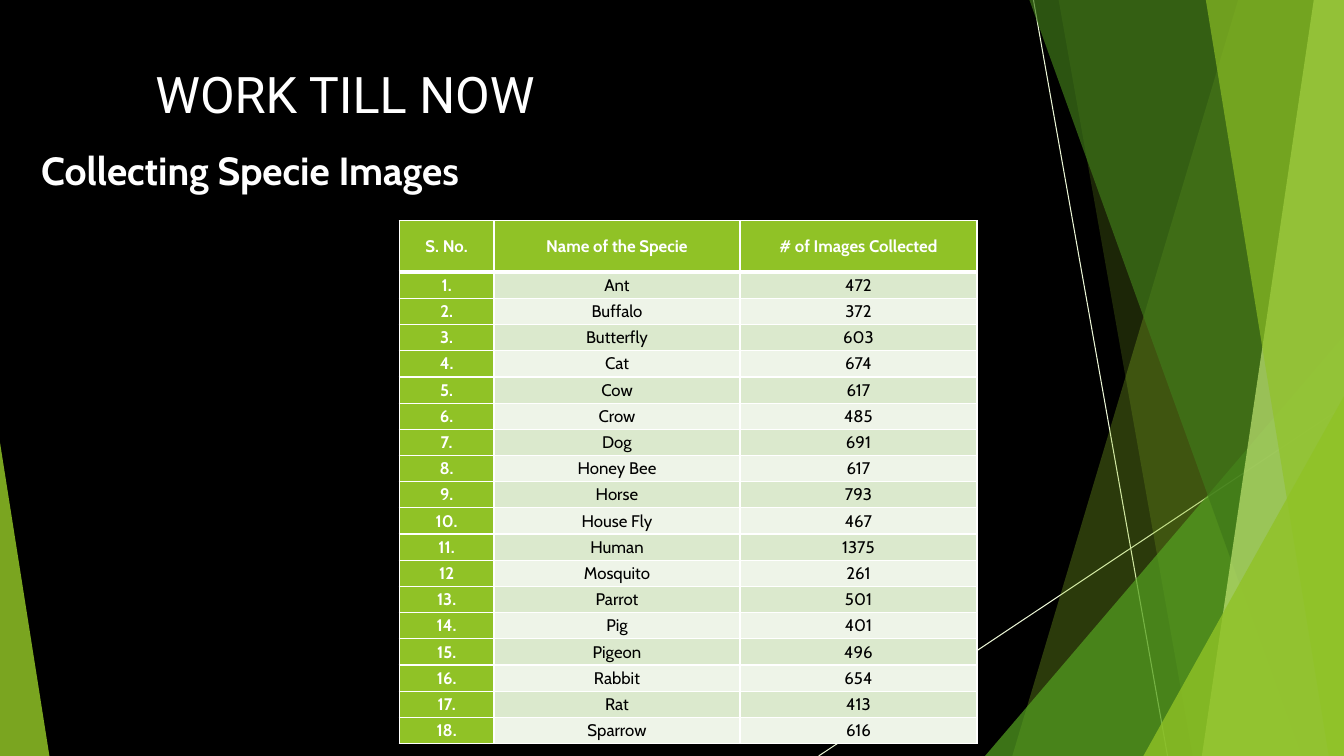
"""Build the species image collection slide with its faceted green backdrop."""
from lxml import etree
from pptx import Presentation
from pptx.dml.color import RGBColor
from pptx.enum.shapes import MSO_CONNECTOR, MSO_SHAPE
from pptx.enum.text import MSO_ANCHOR, MSO_AUTO_SIZE, PP_ALIGN
from pptx.oxml.ns import qn
from pptx.util import Inches, Pt

STRAIGHT = MSO_CONNECTOR.STRAIGHT
TRIANGLE = MSO_SHAPE.ISOSCELES_TRIANGLE
TOP, MIDDLE = MSO_ANCHOR.TOP, MSO_ANCHOR.MIDDLE
LEFT, CENTER = PP_ALIGN.LEFT, PP_ALIGN.CENTER
GROW = MSO_AUTO_SIZE.SHAPE_TO_FIT_TEXT
WIDTH, HEIGHT = 13.33, 7.5
TITLE_ONLY = 5
WHITE, BLACK, GREEN = "FFFFFF", "000000", "90C226"
BANDS = ("DBE9CD", "EEF4E8")


def color(code):
    return RGBColor.from_string(code)


def assign(target, values):
    for name, value in values.items():
        setattr(target, name, value)


class SlideBuilder:
    def __init__(self, slide, font):
        self.slide = slide
        self.shapes = slide.shapes
        self.font = font

    def background(self, code):
        fill = self.slide.background.fill
        fill.solid()
        fill.fore_color.rgb = color(code)

    def add_words(self, frame, text, size, code=WHITE, bold=False, align=LEFT, font=None):
        paragraph = frame.paragraphs[0]
        paragraph.alignment = align
        run = paragraph.add_run()
        run.text = text
        assign(run.font, {"name": font or self.font, "size": Pt(size), "bold": bold})
        run.font.color.rgb = color(code)

    def title(self, text, box, size, font):
        heading = self.shapes.title
        assign(heading, dict(zip(("left", "top", "width", "height"), map(Inches, box))))
        assign(heading.text_frame, {"vertical_anchor": TOP, "auto_size": GROW, "word_wrap": True})
        self.add_words(heading.text_frame, text, size, font=font)

    def text(self, text, box, size, bold):
        frame = self.shapes.add_textbox(*map(Inches, box)).text_frame
        assign(frame, {"word_wrap": False, "auto_size": GROW})
        self.add_words(frame, text, size, bold=bold)

    def line(self, start, end, code, weight):
        connector = self.shapes.add_connector(STRAIGHT, *map(Inches, start + end))
        connector.line.color.rgb = color(code)
        connector.line.width = Pt(weight)
        etree.SubElement(connector.element.spPr, qn("a:effectLst"))

    def paint(self, shape, code, opacity):
        shape.shadow.inherit = False
        shape.line.fill.background()
        shape.fill.solid()
        shape.fill.fore_color.rgb = color(code)
        tint = shape.element.spPr.find(qn("a:solidFill"))[0]
        etree.SubElement(tint, qn("a:alpha"), val=str(opacity * 1000))

    def facet(self, top_left, bottom_left, code, opacity):
        outline = self.shapes.build_freeform(Inches(top_left), 0, 1.0)
        corners = ((WIDTH, 0), (WIDTH, HEIGHT), (bottom_left, HEIGHT))
        outline.add_line_segments([(Inches(x), Inches(y)) for x, y in corners], close=True)
        self.paint(outline.convert_to_shape(), code, opacity)

    def triangle(self, box, apex, code, opacity):
        shape = self.shapes.add_shape(TRIANGLE, *map(Inches, box))
        shape.adjustments[0] = apex
        self.paint(shape, code, opacity)

    def border(self, cell, weights):
        properties = cell._tc.get_or_add_tcPr()
        for position, (side, weight) in enumerate(weights.items()):
            edge = etree.Element(qn(f"a:ln{side}"), w=str(Pt(weight)))
            fill = etree.SubElement(edge, qn("a:solidFill"))
            etree.SubElement(fill, qn("a:srgbClr"), val=WHITE)
            properties.insert(position, edge)

    def cell(self, cell, text, size, fill, code, bold, weights):
        assign(cell, {"margin_left": Inches(0.07), "margin_right": Inches(0.07),
                      "margin_top": 0, "margin_bottom": 0, "vertical_anchor": MIDDLE})
        cell.fill.solid()
        cell.fill.fore_color.rgb = color(fill)
        self.border(cell, weights)
        self.add_words(cell.text_frame, text, size, code, bold, CENTER)

    def table(self, rows, box, widths, header_height, row_height, size):
        table = self.shapes.add_table(len(rows), len(widths), *map(Inches, box)).table
        for column, width in zip(table.columns, widths):
            column.width = Inches(width)
        for r, row in enumerate(rows):
            table.rows[r].height = Inches(row_height if r else header_height)
            weights = {"L": 1, "R": 1, "T": 3 if r == 1 else 1, "B": 1 if r else 3}
            for c, text in enumerate(row):
                label = r == 0 or c == 0
                fill = GREEN if label else BANDS[(r - 1) % 2]
                self.cell(table.cell(r, c), text, size, fill,
                          WHITE if label else BLACK, label, weights)


SPECIES_COUNTS = {
    "Ant": 472, "Buffalo": 372, "Butterfly": 603, "Cat": 674, "Cow": 617, "Crow": 485,
    "Dog": 691, "Honey Bee": 617, "Horse": 793, "House Fly": 467, "Human": 1375,
    "Mosquito": 261, "Parrot": 501, "Pig": 401, "Pigeon": 496, "Rabbit": 654,
    "Rat": 413, "Sparrow": 616,
}
UNDOTTED_NUMBER = 12

presentation = Presentation()
assign(presentation, {"slide_width": Inches(WIDTH), "slide_height": Inches(HEIGHT)})
builder = SlideBuilder(presentation.slides.add_slide(presentation.slide_layouts[TITLE_ONLY]), "Cabin")
builder.background(BLACK)

for start, end in (((10.25, 0), (11.58, HEIGHT)), ((WIDTH, 4.03), (8.12, HEIGHT))):
    builder.line(start, end, "ECF7D7", 0.75)
builder.facet(12.28, 10.04, GREEN, 30)
builder.facet(10.5, 11.83, GREEN, 20)
builder.triangle((9.77, 3.33, 3.56, 4.17), 1, "54A021", 72)
builder.facet(10.21, 12.91, "3F7819", 70)
builder.facet(13.03, 11.92, "C0E474", 70)
builder.facet(11.96, 13.18, GREEN, 65)
builder.triangle((11.34, 3.93, 1.99, 3.57), 1, GREEN, 80)
builder.triangle((0, 4.39, 0.49, 3.11), 0, GREEN, 85)

builder.title("WORK TILL NOW", (1.44, 0.58, 5.66, 0.71), 36, "Roboto")
builder.text("Collecting Specie Images", (0.31, 1.4, 4.71, 0.57), 28, True)

species_rows = [("S. No.", "Name of the Specie", "# of Images Collected")]
for number, (species, count) in enumerate(SPECIES_COUNTS.items(), 1):
    dot = "" if number == UNDOTTED_NUMBER else "."
    species_rows.append((f"{number}{dot}", species, str(count)))
builder.table(species_rows, (3.96, 2.19, 5.73, 5.11), (0.94, 2.44, 2.35), 0.51, 0.26, 12)

presentation.save("out.pptx")
